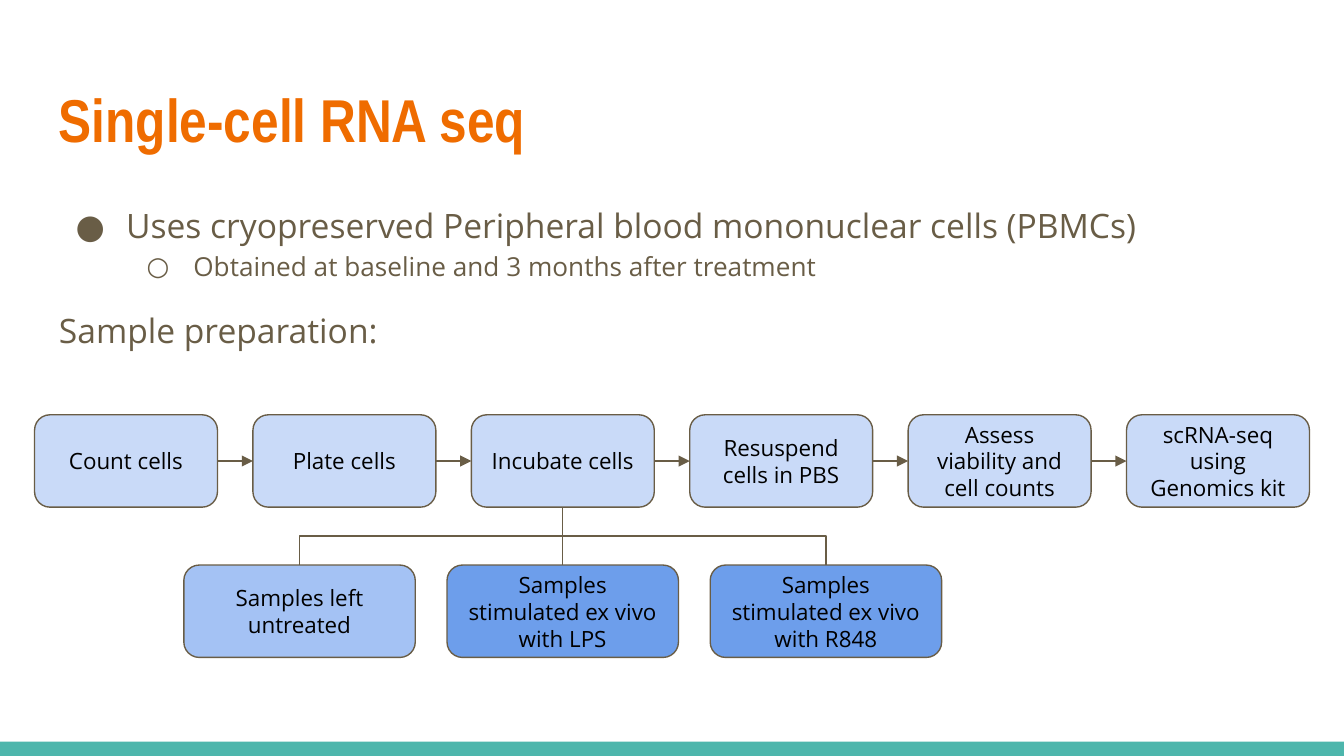
from dataclasses import dataclass

from lxml.etree import SubElement
from pptx import Presentation
from pptx.dml.color import RGBColor
from pptx.enum.shapes import MSO_CONNECTOR as Connector
from pptx.enum.shapes import MSO_SHAPE as Shape
from pptx.enum.text import MSO_ANCHOR as Anchor
from pptx.enum.text import PP_ALIGN as Align
from pptx.oxml.ns import qn
from pptx.util import Pt


@dataclass(frozen=True)
class Theme:
    title: str = "EF6C00"
    body: str = "695D46"
    bar: str = "4DB6AC"
    background: str = "FFFFFF"
    box_text: str = "000000"
    step: str = "C9DAF8"
    untreated: str = "A4C2F4"
    stimulated: str = "6D9EEB"
    title_font: str = "Arial Narrow"
    body_font: str = "Open Sans"
    title_size: float = 32.4
    body_size: float = 18
    detail_size: float = 14
    box_size: float = 12
    line_width: float = 0.75
    inset: float = 7.2


@dataclass(frozen=True)
class Box:
    text: str
    left: float
    top: float
    width: float
    fill: str


@dataclass(frozen=True)
class BodyLine:
    text: str
    size: float
    level: int = 0
    bullet: str = ""
    margin: float = 0
    indent: float = 0
    space_before: float = 0


THEME = Theme()
BOX_HEIGHT = 49.5
STEP_LEFT, STEP_TOP, STEP_WIDTH, STEP_PITCH = 18.5, 222.25, 98, 117
BRANCH_TOP, BRANCH_WIDTH, BRANCH_PITCH = 302.75, 124, 141
INCUBATE_INDEX = 2
TOP_SITE, LEFT_SITE, BOTTOM_SITE, RIGHT_SITE = range(4)

BODY_LINES = [
    BodyLine("Uses cryopreserved Peripheral blood mononuclear cells (PBMCs)",
             THEME.body_size, 0, "●", 36, -27),
    BodyLine("Obtained at baseline and 3 months after treatment",
             THEME.detail_size, 1, "○", 72, -25),
    BodyLine("Sample preparation:", THEME.body_size, space_before=12),
]
STEPS = ["Count cells", "Plate cells", "Incubate cells", "Resuspend cells in PBS",
         "Assess viability and cell counts", "scRNA-seq using Genomics kit"]
BRANCHES = [("Samples left untreated", THEME.untreated),
            ("Samples stimulated ex vivo with LPS", THEME.stimulated),
            ("Samples stimulated ex vivo with R848", THEME.stimulated)]


def color(value: str) -> RGBColor:
    return RGBColor.from_string(value)


def set_frame(frame, anchor: Anchor) -> None:
    frame.word_wrap = True
    frame.vertical_anchor = anchor
    frame.margin_left = frame.margin_right = Pt(THEME.inset)
    frame.margin_top = frame.margin_bottom = Pt(THEME.inset)


def add_run(paragraph, text: str, font: str, size: float, fill: str,
            bold: bool = False) -> None:
    run = paragraph.add_run()
    run.text = text
    run.font.name = font
    run.font.size = Pt(size)
    run.font.bold = bold
    run.font.color.rgb = color(fill)


def add_title(slide, text: str) -> None:
    shape = slide.shapes.add_textbox(Pt(24.5), Pt(35.5), Pt(671), Pt(55.5))
    set_frame(shape.text_frame, Anchor.MIDDLE)
    add_run(shape.text_frame.paragraphs[0], text, THEME.title_font,
            THEME.title_size, THEME.title, True)


def set_indent(paragraph, line: BodyLine) -> None:
    properties = paragraph._p.get_or_add_pPr()
    properties.set("marL", str(Pt(line.margin)))
    properties.set("indent", str(Pt(line.indent)))
    if line.bullet:
        bullet_color = SubElement(properties, qn("a:buClr"))
        SubElement(bullet_color, qn("a:srgbClr"), val=THEME.body)
        SubElement(properties, qn("a:buFont"), typeface=THEME.body_font)
        SubElement(properties, qn("a:buChar"), char=line.bullet)


def add_body(slide, lines: list[BodyLine]) -> None:
    shape = slide.shapes.add_textbox(Pt(24.5), Pt(99.5), Pt(671), Pt(103))
    frame = shape.text_frame
    set_frame(frame, Anchor.TOP)
    for index, line in enumerate(lines):
        paragraph = frame.add_paragraph() if index else frame.paragraphs[0]
        paragraph.level = line.level
        paragraph.line_spacing = 1.15
        paragraph.space_before = Pt(line.space_before)
        set_indent(paragraph, line)
        add_run(paragraph, line.text, THEME.body_font, line.size, THEME.body)


def add_box(slide, box: Box):
    shape = slide.shapes.add_shape(
        Shape.FLOWCHART_ALTERNATE_PROCESS,
        Pt(box.left), Pt(box.top), Pt(box.width), Pt(BOX_HEIGHT))
    shape.shadow.inherit = False
    shape.fill.solid()
    shape.fill.fore_color.rgb = color(box.fill)
    shape.line.color.rgb = color(THEME.body)
    shape.line.width = Pt(THEME.line_width)
    set_frame(shape.text_frame, Anchor.MIDDLE)
    paragraph = shape.text_frame.paragraphs[0]
    paragraph.alignment = Align.CENTER
    add_run(paragraph, box.text, THEME.body_font, THEME.box_size, THEME.box_text)
    return shape


def style_connector(connector, arrow: bool = False) -> None:
    connector.line.color.rgb = color(THEME.body)
    connector.line.width = Pt(THEME.line_width)
    if arrow:
        SubElement(connector.line._get_or_add_ln(), qn("a:tailEnd"), type="triangle")
    SubElement(connector._element.spPr, qn("a:effectLst"))


def join(slide, start, start_site: int, end, end_site: int, arrow: bool = False) -> None:
    connector = slide.shapes.add_connector(Connector.STRAIGHT, 0, 0, 0, 0)
    connector.begin_connect(start, start_site)
    connector.end_connect(end, end_site)
    style_connector(connector, arrow)


def add_elbow(slide, start_x: float, end_x: float, top: float, bottom: float) -> None:
    middle_x, middle_y = (start_x + end_x) / 2, (top + bottom) / 2
    half_span = abs(end_x - start_x) / 2
    goes_right = end_x > start_x
    half_drop = (top - bottom if goes_right else bottom - top) / 2
    connector = slide.shapes.add_connector(
        Connector.ELBOW,
        Pt(middle_x + -half_drop), Pt(middle_y - half_span),
        Pt(middle_x + half_drop), Pt(middle_y + half_span))
    degrees = 270 if goes_right else 90
    connector._element.spPr.find(qn("a:xfrm")).set("rot", str(degrees * 60000))
    style_connector(connector)


def add_flow(slide) -> None:
    steps = [add_box(slide, Box(text, STEP_LEFT + index * STEP_PITCH, STEP_TOP,
                                STEP_WIDTH, THEME.step))
             for index, text in enumerate(STEPS)]
    for start, end in zip(steps, steps[1:]):
        join(slide, start, RIGHT_SITE, end, LEFT_SITE, True)

    center = STEP_LEFT + INCUBATE_INDEX * STEP_PITCH + STEP_WIDTH / 2
    for offset, (text, fill) in enumerate(BRANCHES, -1):
        branch_center = center + offset * BRANCH_PITCH
        branch = add_box(slide, Box(text, branch_center - BRANCH_WIDTH / 2,
                                    BRANCH_TOP, BRANCH_WIDTH, fill))
        if offset:
            add_elbow(slide, center, branch_center, STEP_TOP + BOX_HEIGHT, BRANCH_TOP)
        else:
            join(slide, steps[INCUBATE_INDEX], BOTTOM_SITE, branch, TOP_SITE)


def add_bar(slide) -> None:
    bar = slide.shapes.add_shape(Shape.RECTANGLE, 0, Pt(397.4), Pt(720), Pt(7.6))
    bar.shadow.inherit = False
    bar.fill.solid()
    bar.fill.fore_color.rgb = color(THEME.bar)
    bar.line.fill.background()


def main() -> None:
    presentation = Presentation()
    presentation.slide_width, presentation.slide_height = Pt(720), Pt(405)
    slide = presentation.slides.add_slide(presentation.slide_layouts[6])
    slide.background.fill.solid()
    slide.background.fill.fore_color.rgb = color(THEME.background)
    add_bar(slide)
    add_title(slide, "Single-cell RNA seq")
    add_body(slide, BODY_LINES)
    add_flow(slide)
    presentation.save("out.pptx")


if __name__ == "__main__":
    main()
